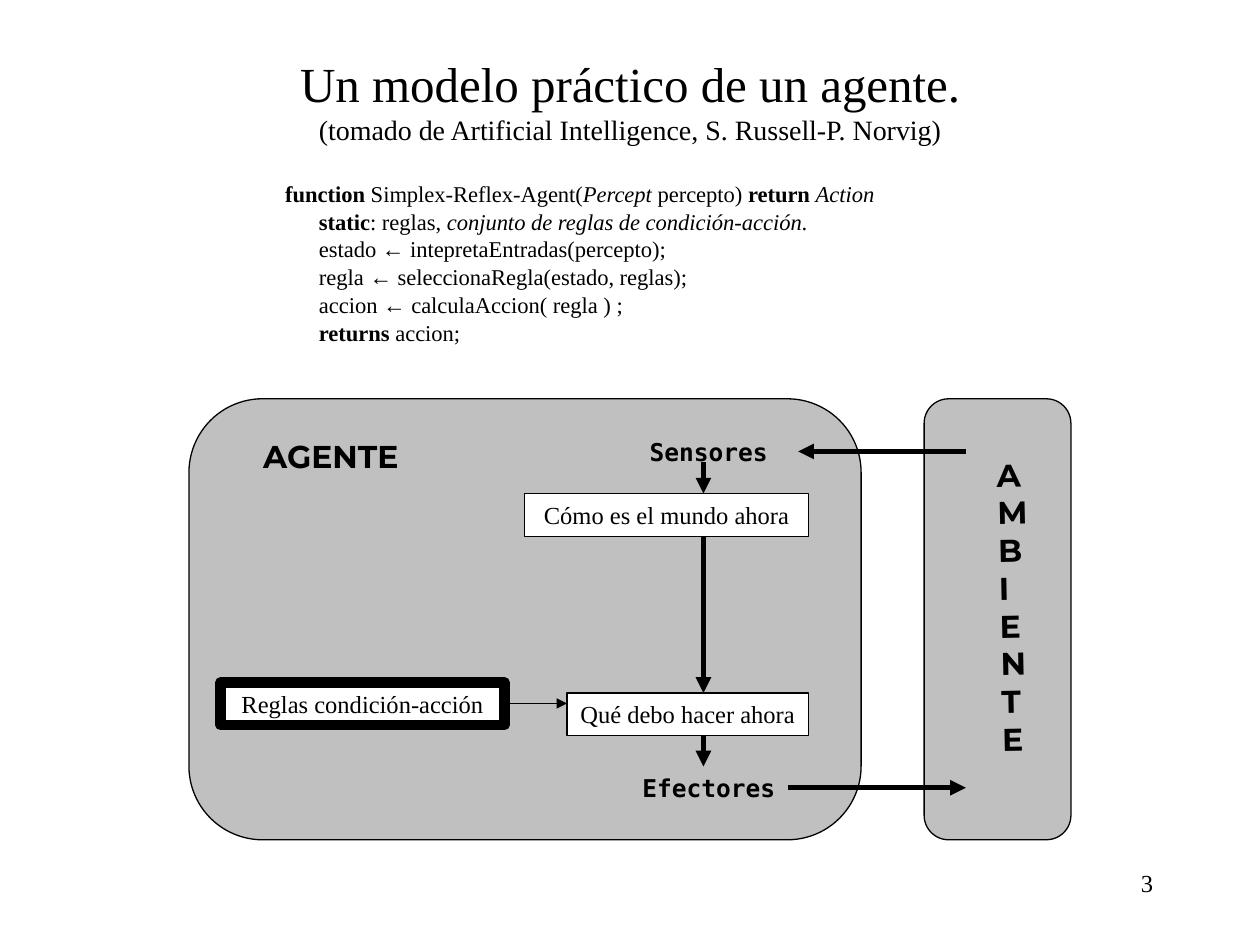
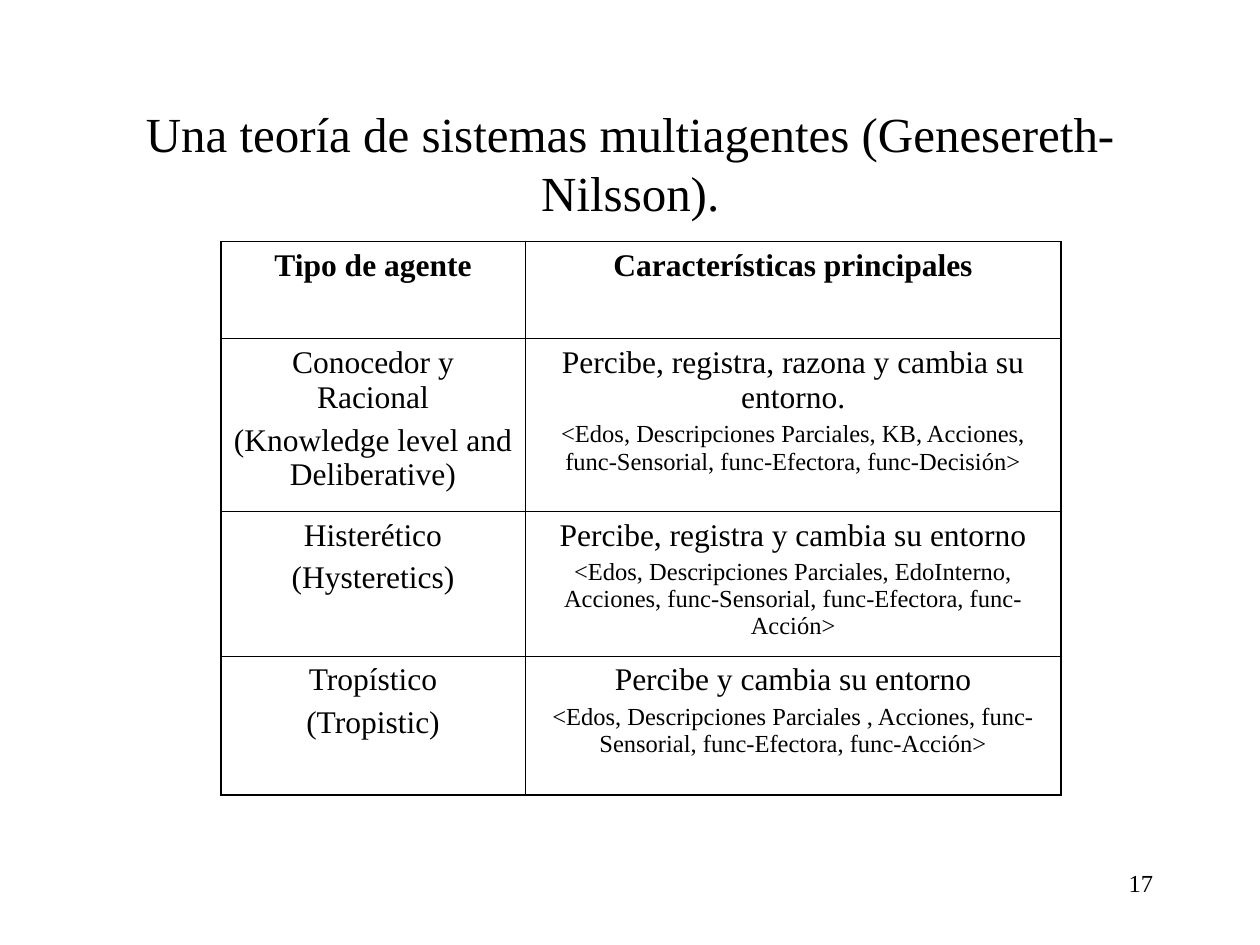
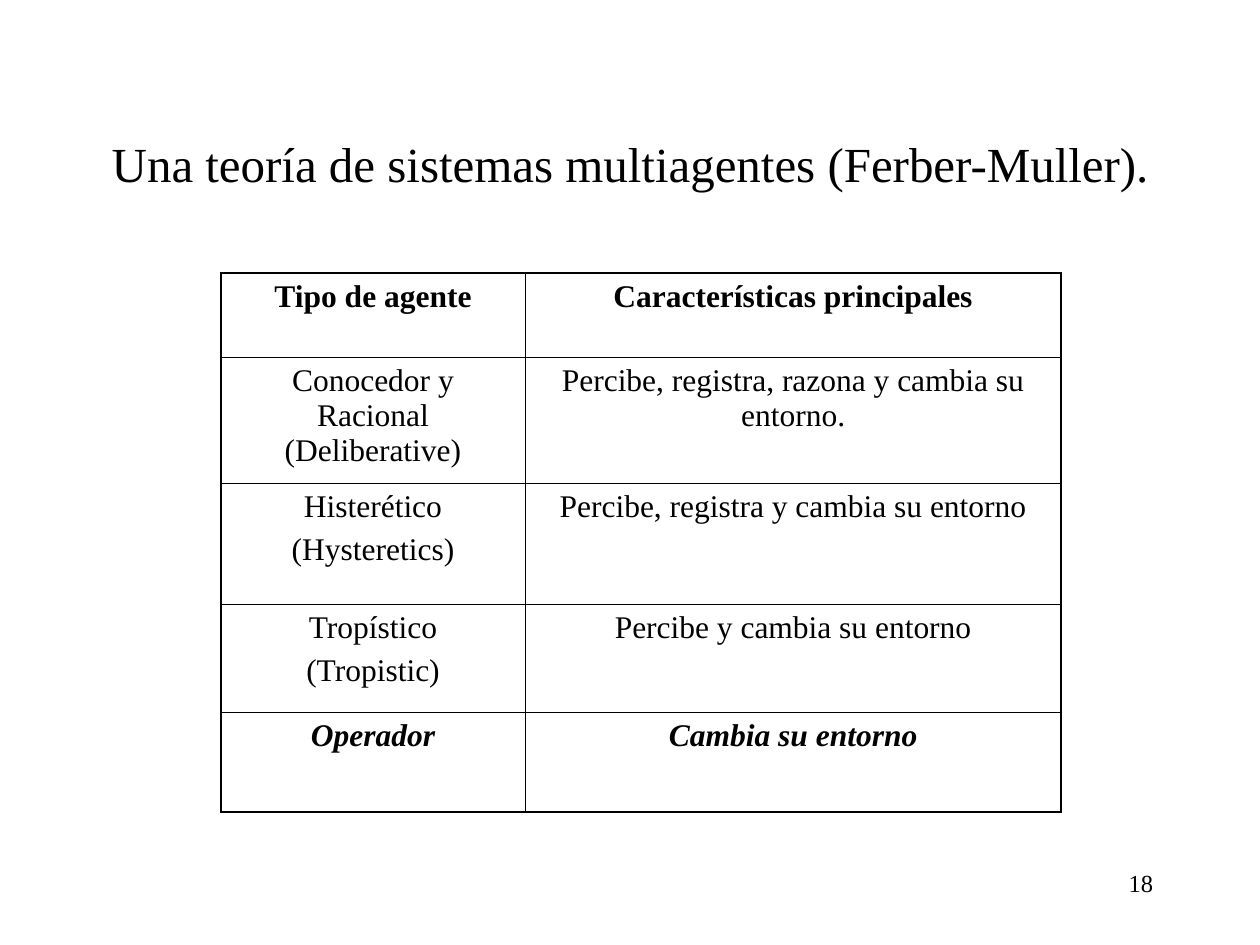
from dataclasses import dataclass

from lxml import etree
from pptx import Presentation
from pptx.dml.color import RGBColor
from pptx.enum.shapes import MSO_CONNECTOR, MSO_SHAPE
from pptx.enum.text import MSO_ANCHOR, MSO_AUTO_SIZE, PP_ALIGN
from pptx.oxml.ns import qn
from pptx.util import Cm, Pt

RECT, ROUNDED = MSO_SHAPE.RECTANGLE, MSO_SHAPE.ROUNDED_RECTANGLE
STRAIGHT = MSO_CONNECTOR.STRAIGHT
TOP, MIDDLE = MSO_ANCHOR.TOP, MSO_ANCHOR.MIDDLE
FIXED, GROW = MSO_AUTO_SIZE.NONE, MSO_AUTO_SIZE.SHAPE_TO_FIT_TEXT
LEFT, CENTER, RIGHT = PP_ALIGN.LEFT, PP_ALIGN.CENTER, PP_ALIGN.RIGHT
TITLE_AND_BODY, TITLE_ONLY = 1, 5


@dataclass(frozen=True)
class Theme:
    ink: RGBColor = RGBColor(0x00, 0x00, 0x00)
    paper: RGBColor = RGBColor(0xFF, 0xFF, 0xFF)
    panel: RGBColor = RGBColor(0xC0, 0xC0, 0xC0)
    serif: str = "Times New Roman"
    symbol: str = "Arial"
    heading: str = "Montserrat"
    mono: str = "DejaVu Sans Mono"
    title: float = 28
    subtitle: float = 16
    large: float = 18
    normal: float = 14
    code: float = 12.9
    thin: float = 0.74
    arrow: float = 3
    frame: float = 6
    inner_border: float = 0.45
    outer_border: float = 1.08


THEME = Theme()


# Text
def add_run(paragraph, text, size, font=THEME.serif, bold=False, italic=False):
    run = paragraph.add_run()
    run.text = text
    run.font.name, run.font.size = font, Pt(size)
    run.font.bold, run.font.italic = bold, italic
    run.font.color.rgb = THEME.ink


def format_paragraph(paragraph, align, before=0, spacing=None):
    paragraph.alignment = align
    paragraph.space_before = Pt(before)
    if spacing:
        paragraph.line_spacing = spacing


def set_frame(frame, anchor=TOP, fit=FIXED):
    frame.word_wrap = True
    frame.auto_size = fit
    frame.vertical_anchor = anchor
    frame.margin_left = frame.margin_right = Cm(0.25)
    frame.margin_top = frame.margin_bottom = Cm(0.13)


def place(shape, left, top, width, height):
    shape.left, shape.top = Cm(left), Cm(top)
    shape.width, shape.height = Cm(width), Cm(height)


def set_title(slide, text, subtitle=None, top=1.69, height=3.18):
    title = slide.shapes.title
    place(title, 1.91, top, 21.59, height)
    set_frame(title.text_frame, MIDDLE)
    paragraph = title.text_frame.paragraphs[0]
    format_paragraph(paragraph, CENTER)
    add_run(paragraph, text, THEME.title)
    if subtitle:
        paragraph.add_line_break()
        add_run(paragraph, subtitle, THEME.subtitle)


def add_label(shapes, text, box, size=THEME.normal, font=THEME.serif,
              bold=False, align=CENTER, before=0, fit=GROW):
    label = shapes.add_textbox(*map(Cm, box))
    set_frame(label.text_frame, fit=fit)
    paragraph = label.text_frame.paragraphs[0]
    format_paragraph(paragraph, align, before)
    add_run(paragraph, text, size, font, bold)
    return label


def add_page_number(slide, number):
    add_label(slide.shapes, str(number), (17.15, 17.36, 6.35, 1.27),
              align=RIGHT, fit=FIXED)


# Pseudocode: each line is a list of (text, style) runs
CODE_STYLES = {
    "plain": {},
    "keyword": {"bold": True},
    "type": {"italic": True},
    "symbol": {"font": THEME.symbol},
}


def assignment(variable, expression):
    return [(variable + " ", "plain"), ("←", "symbol"),
            (" " + expression, "plain")]


def fill_code(body, lines):
    place(body, 5.5, 3.6, 14.4, 3.6)
    frame = body.text_frame
    set_frame(frame)
    for index, line in enumerate(lines):
        paragraph = frame.add_paragraph() if index else frame.paragraphs[0]
        format_paragraph(paragraph, LEFT, 3.5, 0.8)
        properties = paragraph._p.get_or_add_pPr()
        properties.set("marL", str(Cm(0.68 if index else 0)))
        properties.set("indent", "0")
        etree.SubElement(properties, qn("a:buNone"))
        for text, style in line:
            add_run(paragraph, text, THEME.code, **CODE_STYLES[style])


# Diagram
def add_block(shapes, kind, box, fill, line_width):
    block = shapes.add_shape(kind, *map(Cm, box))
    block.shadow.inherit = False
    block.fill.solid()
    block.fill.fore_color.rgb = fill
    block.line.color.rgb = THEME.ink
    block.line.width = Pt(line_width)
    return block


def add_step(shapes, text, left, top, width, line_width=THEME.thin):
    step = add_block(shapes, RECT, (left, top, width, 0.86),
                     THEME.paper, line_width)
    set_frame(step.text_frame, fit=GROW)
    paragraph = step.text_frame.paragraphs[0]
    format_paragraph(paragraph, CENTER, 8.8)
    add_run(paragraph, text, THEME.normal)


def add_arrow(shapes, start, end, width=THEME.arrow):
    arrow = shapes.add_connector(STRAIGHT, *map(Cm, start + end))
    arrow.line.color.rgb = THEME.ink
    arrow.line.width = Pt(width)
    etree.SubElement(arrow.line._get_or_add_ln(), qn("a:tailEnd"),
                     type="triangle")
    etree.SubElement(arrow._element.spPr, qn("a:effectLst"))


def add_agent_diagram(slide):
    shapes = slide.shapes.add_group_shape().shapes

    # Agent and environment panels
    for left, width in ((3.81, 13.55), (18.63, 2.96)):
        panel = add_block(shapes, ROUNDED, (left, 8.04, width, 8.89),
                          THEME.panel, THEME.thin)
        panel.adjustments[0] = 0.167

    # Steps
    add_step(shapes, "Cómo es el mundo ahora", 10.58, 9.95, 5.72)
    add_step(shapes, "Qué debo hacer ahora", 11.43, 13.97, 4.87)
    add_step(shapes, "Reglas condición-acción", 4.45, 13.76, 5.72,
             THEME.frame)

    # Labels
    add_label(shapes, "AGENTE", (4.66, 8.68, 4.02, 1.02), THEME.large,
              THEME.heading, True, before=11.2)
    environment = add_label(shapes, "AMBIENTE", (16.92, 12.09, 6.6, 0.64),
                            THEME.large, THEME.heading, True, before=11.2)
    environment.rotation = 268.8
    frame = environment.text_frame
    frame.margin_left = frame.margin_right = Cm(0.13)
    frame.margin_top = frame.margin_bottom = Cm(0.25)
    frame._txBody.bodyPr.set("vert", "eaVert")
    for text, top in (("Sensores", 8.68), ("Efectores", 15.45)):
        add_label(shapes, text, (12.28, top, 4.02, 0.86), THEME.normal,
                  THEME.mono, True, before=8.8)

    # Exchange with the environment, then the flow down the steps
    add_arrow(shapes, (15.88, 15.88), (19.47, 15.88))
    add_arrow(shapes, (19.47, 9.1), (16.09, 9.1))
    for top, bottom in ((9.31, 9.95), (10.8, 13.97), (14.82, 15.45)):
        add_arrow(shapes, (14.18, top), (14.18, bottom))
    add_arrow(shapes, (10.16, 14.18), (11.43, 14.18), THEME.thin)


# Tables
def set_borders(cell, outer_sides):
    properties = cell._tc.get_or_add_tcPr()
    for index, side in enumerate("LRTB"):
        width = (THEME.outer_border if side in outer_sides
                 else THEME.inner_border)
        border = etree.Element(qn(f"a:ln{side}"), w=str(Pt(width)))
        fill = etree.SubElement(border, qn("a:solidFill"))
        etree.SubElement(fill, qn("a:srgbClr"), val=str(THEME.ink))
        properties.insert(index, border)


def fill_cell(cell, lines, bold, italic):
    cell.fill.background()
    cell.margin_left = cell.margin_right = Cm(0.25)
    cell.margin_top = cell.margin_bottom = Cm(0.13)
    for index, text in enumerate(lines):
        frame = cell.text_frame
        paragraph = frame.add_paragraph() if index else frame.paragraphs[0]
        is_tuple = text.startswith("<")
        format_paragraph(paragraph, CENTER, 3.5 if is_tuple else 4.5)
        add_run(paragraph, text, THEME.normal if is_tuple else THEME.large,
                bold=bold, italic=italic)


def add_agent_table(slide, top, heights, agents, emphasis=()):
    """Fill a table of agent types; emphasis holds bold italic row numbers."""
    rows = [(["Tipo de agente"], ["Características principales"])] + agents
    widths = (6.14, 10.8)
    table = slide.shapes.add_table(
        len(rows), len(widths), Cm(4.45), Cm(top),
        Cm(sum(widths)), Cm(sum(heights))).table
    table.first_row = table.horz_banding = False
    for column, width in zip(table.columns, widths):
        column.width = Cm(width)
    for r, (row, height) in enumerate(zip(rows, heights)):
        table.rows[r].height = Cm(height)
        for c, lines in enumerate(row):
            cell = table.cell(r, c)
            fill_cell(cell, lines, r == 0 or r in emphasis, r in emphasis)
            outer = "LR"[c]
            if r == 0:
                outer += "T"
            if r == len(rows) - 1:
                outer += "B"
            set_borders(cell, outer)


# Slides
def add_model_slide(deck):
    slide = deck.slides.add_slide(deck.slide_layouts[TITLE_AND_BODY])
    set_title(slide, "Un modelo práctico de un agente.",
              "(tomado de Artificial Intelligence, S. Russell-P. Norvig)",
              top=0.85, height=2.33)
    fill_code(slide.placeholders[1], [
        [("function", "keyword"), (" Simplex-Reflex-Agent(", "plain"),
         ("Percept ", "type"), ("percepto) ", "plain"),
         ("return ", "keyword"), ("Action", "type")],
        [("static", "keyword"), (": reglas, ", "plain"),
         ("conjunto de reglas de condición-acción", "type"), (".", "plain")],
        assignment("estado", "intepretaEntradas(percepto);"),
        assignment("regla", "seleccionaRegla(estado, reglas);"),
        assignment("accion", "calculaAccion( regla ) ;"),
        [("returns", "keyword"), (" accion;", "plain")],
    ])
    add_agent_diagram(slide)
    add_page_number(slide, 3)


def add_theory_slide(deck, authors, number, **table):
    slide = deck.slides.add_slide(deck.slide_layouts[TITLE_ONLY])
    set_title(slide, f"Una teoría de sistemas multiagentes ({authors}).")
    add_agent_table(slide, **table)
    add_page_number(slide, number)


def main():
    deck = Presentation()
    deck.slide_width, deck.slide_height = Cm(25.4), Cm(19.05)

    hysteretic = ["Histerético", "(Hysteretics)"]
    tropistic = ["Tropístico", "(Tropistic)"]
    reasons = "Percibe, registra, razona y cambia su entorno."
    records = "Percibe, registra y cambia su entorno"
    perceives = "Percibe y cambia su entorno"

    add_model_slide(deck)
    add_theory_slide(
        deck, "Genesereth-Nilsson", 17,
        top=4.87, heights=(1.96, 3.48, 2.92, 2.79),
        agents=[
            (["Conocedor y Racional", "(Knowledge level and Deliberative)"],
             [reasons, "<Edos, Descripciones Parciales, KB, Acciones, "
              "func-Sensorial, func-Efectora, func-Decisión>"]),
            (hysteretic,
             [records, "<Edos, Descripciones Parciales, EdoInterno, "
              "Acciones, func-Sensorial, func-Efectora, func- Acción>"]),
            (tropistic,
             [perceives, "<Edos, Descripciones Parciales , Acciones, "
              "func-Sensorial, func-Efectora, func-Acción>"]),
        ])
    add_theory_slide(
        deck, "Ferber-Muller", 18,
        top=5.5, heights=(1.7, 2.54, 2.44, 2.18, 2.01),
        agents=[
            (["Conocedor y Racional (Deliberative)"], [reasons]),
            (hysteretic, [records]),
            (tropistic, [perceives]),
            (["Operador"], ["Cambia su entorno"]),
        ],
        emphasis=(4,))
    deck.save("out.pptx")


if __name__ == "__main__":
    main()
